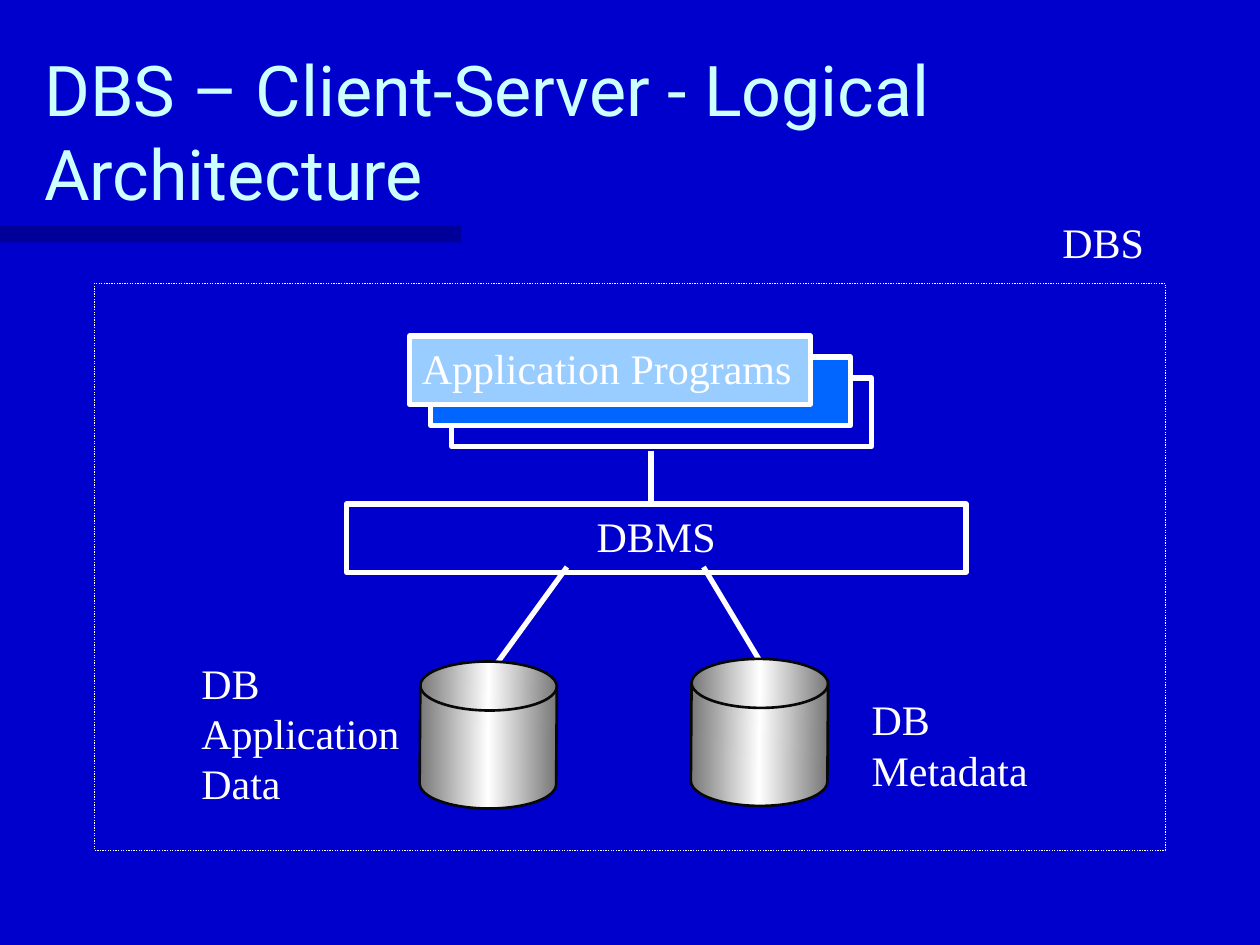
from copy import deepcopy

from lxml import etree
from pptx import Presentation
from pptx.dml.color import RGBColor
from pptx.enum import dml, shapes, text
from pptx.oxml.ns import qn
from pptx.util import Pt

BLUE = RGBColor(0x00, 0x00, 0xCC)
NAVY = RGBColor(0x00, 0x00, 0x66)
CYAN = RGBColor(0xCC, 0xFF, 0xFF)
MID = RGBColor(0x00, 0x66, 0xFF)
PALE = RGBColor(0x99, 0xCC, 0xFF)
WHITE = RGBColor(0xFF, 0xFF, 0xFF)
GREY = RGBColor(0x76, 0x76, 0x76)
BLACK = RGBColor(0x08, 0x08, 0x08)
RECT = shapes.MSO_SHAPE.RECTANGLE
DRUM = shapes.MSO_SHAPE.FLOWCHART_DIRECT_ACCESS_STORAGE

prs = Presentation()
prs.slide_width, prs.slide_height = Pt(720), Pt(540)
slide = prs.slides.add_slide(prs.slide_layouts[5])
slide.background.fill.solid()
slide.background.fill.fore_color.rgb = BLUE


def add_box(kind, x, y, w, h, fill=None, line=WHITE, width=3):
    box = slide.shapes.add_shape(kind, Pt(x), Pt(y), Pt(w), Pt(h))
    box.shadow.inherit = False
    if fill is None:
        box.fill.background()
    else:
        box.fill.solid()
        box.fill.fore_color.rgb = fill
    if line is None:
        box.line.fill.background()
    else:
        box.line.color.rgb = line
        box.line.width = Pt(width)
    return box


def write(shape, words, align=text.PP_ALIGN.LEFT, wrap=False):
    frame = shape.text_frame
    frame.word_wrap = wrap
    frame.auto_size = text.MSO_AUTO_SIZE.SHAPE_TO_FIT_TEXT
    frame.vertical_anchor = text.MSO_ANCHOR.TOP
    frame.text = words
    for para in frame.paragraphs:
        para.alignment = align
        para.font.name = "Times New Roman"
        para.font.size = Pt(24)
        para.font.color.rgb = WHITE


# Title and the half-transparent bar under it
bar = add_box(RECT, 0, 129, 263.5, 9.5, NAVY, None)
tint = bar.fill._xPr.find(".//" + qn("a:srgbClr"))
etree.SubElement(tint, qn("a:alpha"), val="50000")

title = slide.shapes.title
title.left, title.top, title.width, title.height = Pt(18), Pt(36), Pt(612), Pt(90)
title.text_frame.text = "DBS – Client-Server - Logical Architecture"
title.text_frame.vertical_anchor = text.MSO_ANCHOR.BOTTOM
head = title.text_frame.paragraphs[0]
head.alignment = text.PP_ALIGN.LEFT
head.font.name = "Roboto"
head.font.size = Pt(40)
head.font.color.rgb = CYAN

# Links between programs, DBMS and the two stores
for x1, y1, x2, y2 in [
    (402, 324, 438, 384),
    (276, 390, 324, 324),
    (372, 258, 372, 288),
]:
    link = slide.shapes.add_connector(
        shapes.MSO_CONNECTOR.STRAIGHT, Pt(x1), Pt(y1), Pt(x2), Pt(y2))
    link.line.color.rgb = WHITE
    link.line.width = Pt(3)
    etree.SubElement(link._element.spPr, qn("a:effectLst"))

# Stores: drums stood upright, shaded grey - white - grey
for x, y in [(237, 381), (392, 379.5)]:
    drum = add_box(DRUM, x, y, 84, 78, line=BLACK, width=1.5)
    drum.rotation = 270.4
    drum.fill.gradient()
    drum.fill.gradient_angle = 90
    stops = drum.fill.gradient_stops
    for stop, tone, pos in zip(stops, (GREY, WHITE), (0, 0.5)):
        stop.color.rgb = tone
        stop.position = pos
    ends = drum.fill._xPr.find(".//" + qn("a:gsLst"))
    last = deepcopy(ends[0])
    last.set("pos", "100000")
    ends.append(last)

# DBMS and the stack of application programs
dbms = add_box(RECT, 198, 288, 354, 39)
write(dbms, "DBMS", text.PP_ALIGN.CENTER, True)
add_box(RECT, 258, 216, 240, 39)
add_box(RECT, 246, 204, 240, 39, MID)
apps = add_box(RECT, 234, 192, 229, 39, PALE)
write(apps, "Application Programs")

# System border and labels
border = add_box(RECT, 54, 162, 612, 324, width=0.75)
border.line.dash_style = dml.MSO_LINE.ROUND_DOT

for words, x, y, w, h in [
    ("DB\nMetadata", 491, 393, 103.5, 65),
    ("DB\nApplication\nData", 108, 372, 127.5, 93.5),
    ("DBS", 600, 120, 61, 36),
]:
    label = slide.shapes.add_textbox(Pt(x), Pt(y), Pt(w), Pt(h))
    write(label, words)

prs.save("out.pptx")
